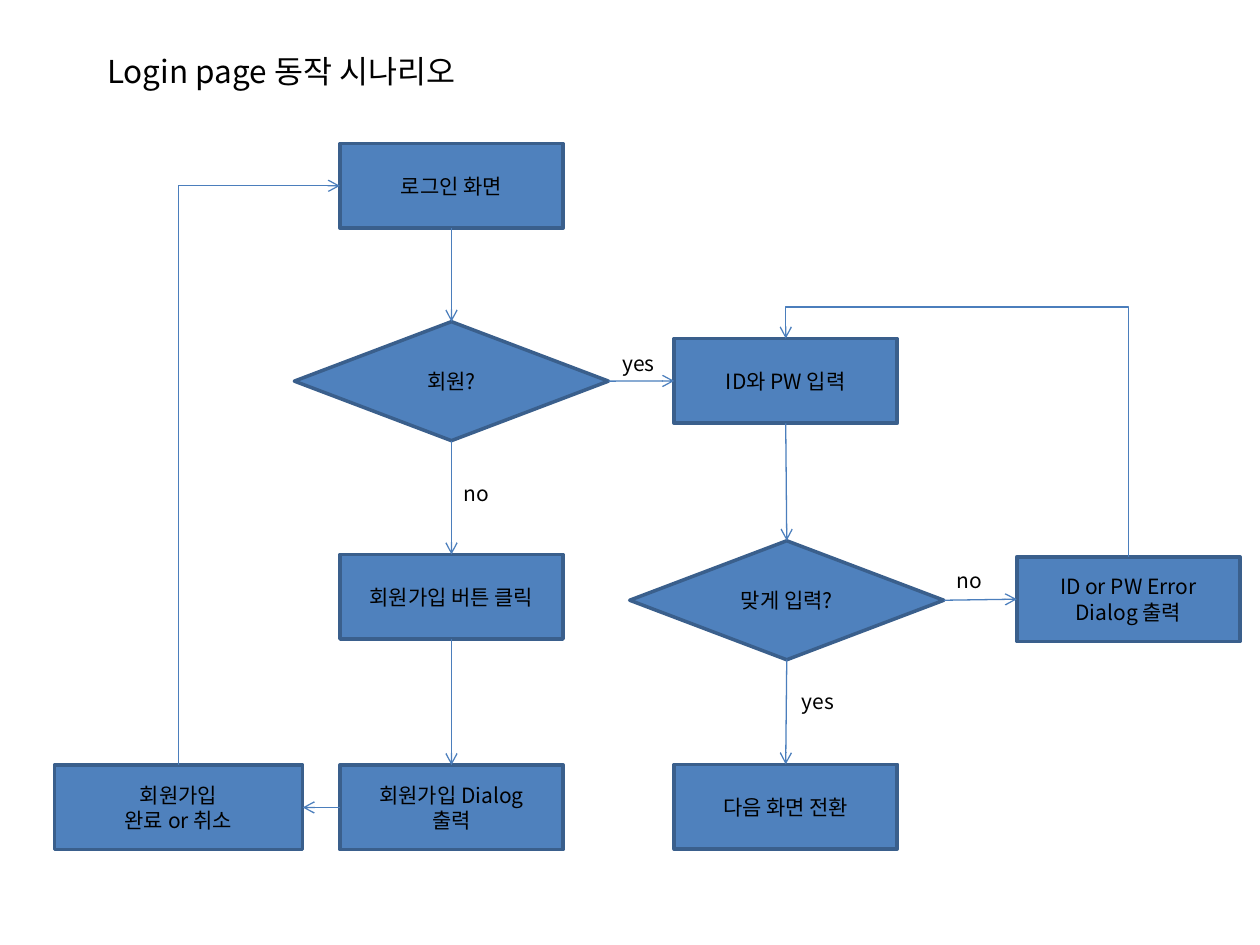
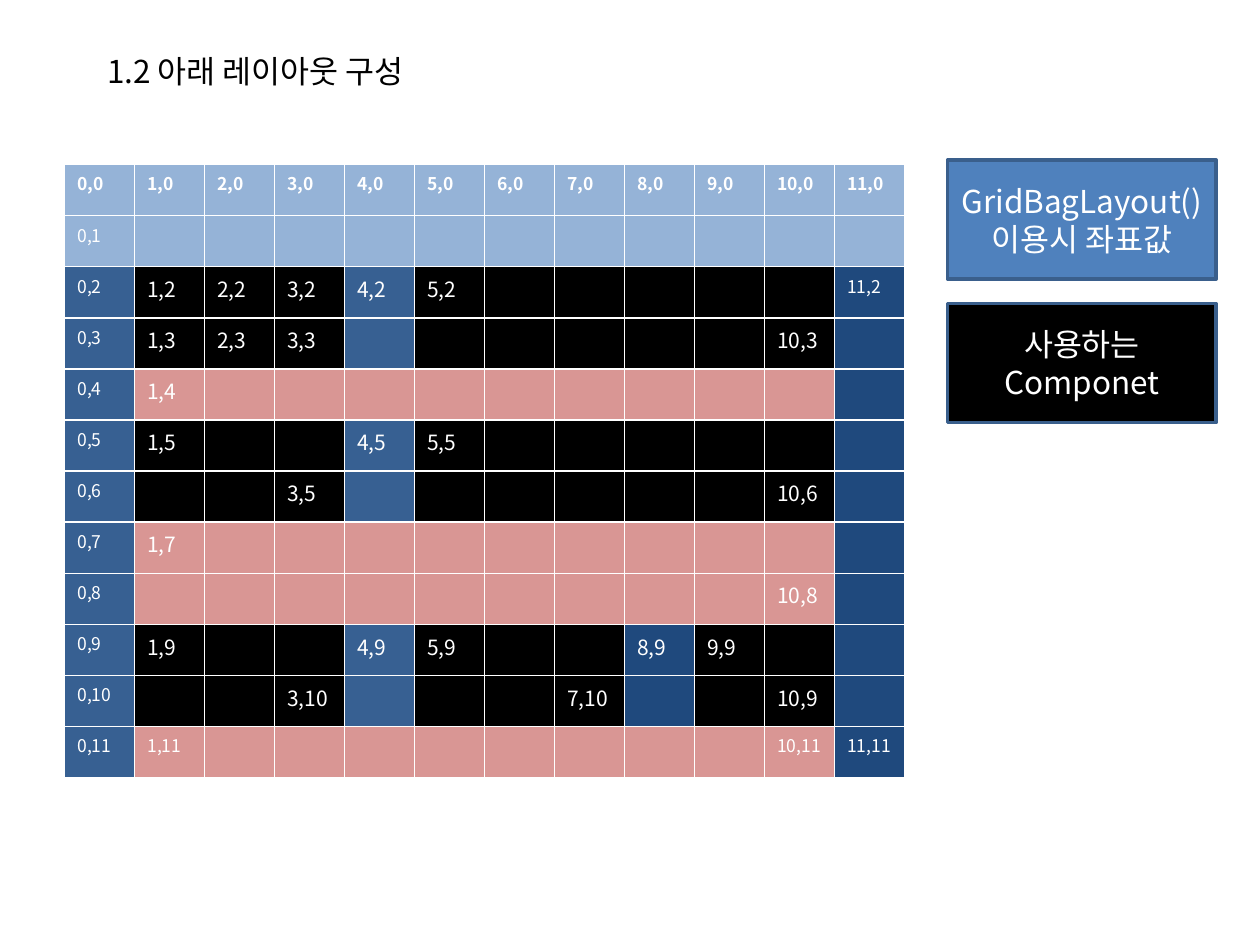
from dataclasses import dataclass

from lxml.etree import SubElement
from pptx import Presentation
from pptx.dml.color import RGBColor
from pptx.enum.shapes import MSO_CONNECTOR, MSO_SHAPE
from pptx.enum.text import MSO_ANCHOR, MSO_AUTO_SIZE, PP_ALIGN
from pptx.oxml.ns import qn
from pptx.util import Pt


@dataclass(frozen=True)
class Theme:
    font: str = "Noto Sans CJK KR"
    black: str = "000000"
    white: str = "FFFFFF"
    blue: str = "4F81BD"
    outline: str = "3A5F8C"
    arrow: str = "4B7EBC"
    light_blue: str = "95B3D7"
    mid_blue: str = "376092"
    dark_blue: str = "1F497D"
    pink: str = "D99694"
    title_size: int = 18
    text_size: int = 12
    small_size: int = 10


theme = Theme()


def write_text(text_frame, text, size, color, align=PP_ALIGN.LEFT):
    text_frame.text = text
    text_frame.word_wrap = True
    for paragraph in text_frame.paragraphs:
        paragraph.alignment = align
        paragraph.font.name = theme.font
        paragraph.font.size = Pt(size)
        paragraph.font.color.rgb = RGBColor.from_string(color)


def add_box(slide, preset, left, top, width, height, text, size, color, fill):
    shape = slide.shapes.add_shape(preset, Pt(left), Pt(top), Pt(width), Pt(height))
    shape.shadow.inherit = False
    shape.fill.solid()
    shape.fill.fore_color.rgb = RGBColor.from_string(fill)
    shape.line.color.rgb = RGBColor.from_string(theme.outline)
    shape.line.width = Pt(2)
    shape.text_frame.vertical_anchor = MSO_ANCHOR.MIDDLE
    write_text(shape.text_frame, text, size, color, PP_ALIGN.CENTER)
    return shape


presentation = Presentation()
presentation.slide_width, presentation.slide_height = Pt(720), Pt(540)

# Slides and their titles
slides = []
for heading in ("Login page 동작 시나리오", "1.2 아래 레이아웃 구성"):
    slide = presentation.slides.add_slide(presentation.slide_layouts[5])
    title = slide.shapes.title
    title.left, title.top, title.width, title.height = Pt(54), Pt(26), Pt(238), Pt(29)
    title.text_frame.auto_size = MSO_AUTO_SIZE.NONE
    title.text_frame.vertical_anchor = MSO_ANCHOR.TOP
    write_text(title.text_frame, heading, theme.title_size, theme.black)
    slides.append(slide)
login_slide, layout_slide = slides

# Flowchart steps: name, centre x, top, width, text
STEP_WIDTH, STEP_HEIGHT = 127.5, 48.4
DECISION_WIDTH, DECISION_HEIGHT = 179.5, 68
LEFT_COLUMN, RIGHT_COLUMN = 258, 449
steps = [
    ("login", LEFT_COLUMN, 82, STEP_WIDTH, "로그인 화면"),
    ("join", LEFT_COLUMN, 316.8, STEP_WIDTH, "회원가입 버튼 클릭"),
    ("join dialog", LEFT_COLUMN, 437.2, STEP_WIDTH, "회원가입 Dialog\n출력"),
    ("joined", 102, 437.2, 142, "회원가입\n완료 or 취소"),
    ("enter", RIGHT_COLUMN, 193.5, STEP_WIDTH, "ID와 PW 입력"),
    ("error", 644.8, 318.2, STEP_WIDTH, "ID or PW Error Dialog 출력"),
    ("next", RIGHT_COLUMN, 436.8, STEP_WIDTH, "다음 화면 전환"),
]
nodes = {}
for name, center, top, width, text in steps:
    nodes[name] = add_box(login_slide, MSO_SHAPE.RECTANGLE, center - width / 2, top, width,
                          STEP_HEIGHT, text, theme.text_size, theme.black, theme.blue)

# Decisions
decisions = [
    ("member", LEFT_COLUMN, 183.8, "회원?"),
    ("correct", RIGHT_COLUMN + 0.6, 309, "맞게 입력?"),
]
for name, center, top, text in decisions:
    nodes[name] = add_box(login_slide, MSO_SHAPE.FLOWCHART_DECISION, center - DECISION_WIDTH / 2,
                          top, DECISION_WIDTH, DECISION_HEIGHT, text, theme.text_size,
                          theme.black, theme.blue)

# Arrows: start, side, end, side, kind
TOP, LEFT, BOTTOM, RIGHT = range(4)
STRAIGHT, ELBOW = MSO_CONNECTOR.STRAIGHT, MSO_CONNECTOR.ELBOW
links = [
    ("login", BOTTOM, "member", TOP, STRAIGHT),
    ("member", BOTTOM, "join", TOP, STRAIGHT),
    ("member", RIGHT, "enter", LEFT, STRAIGHT),
    ("join", BOTTOM, "join dialog", TOP, STRAIGHT),
    ("join dialog", LEFT, "joined", RIGHT, STRAIGHT),
    ("joined", TOP, "login", LEFT, ELBOW),
    ("enter", BOTTOM, "correct", TOP, STRAIGHT),
    ("correct", RIGHT, "error", LEFT, STRAIGHT),
    ("error", TOP, "enter", TOP, ELBOW),
    ("correct", BOTTOM, "next", TOP, STRAIGHT),
]
arrows = {}
for start, start_side, end, end_side, kind in links:
    arrow = login_slide.shapes.add_connector(kind, 0, 0, 0, 0)
    arrow.begin_connect(nodes[start], start_side)
    arrow.end_connect(nodes[end], end_side)
    arrow.line.color.rgb = RGBColor.from_string(theme.arrow)
    arrow.line.width = Pt(0.75)
    properties = arrow.element.spPr
    SubElement(properties.find(qn("a:ln")), qn("a:tailEnd"), type="arrow")
    SubElement(properties, qn("a:effectLst"))
    arrows[start, end] = arrow

# Elbow arrows leave upwards, so their frames are turned on their side
turns = [
    (arrows["joined", "login"], "bentConnector2", 90, ("flipH", "flipV"), None),
    (arrows["error", "enter"], "bentConnector3", 270, ("flipV",), 114500),
]
for arrow, preset, degrees, flips, bend in turns:
    middle_x = (arrow.begin_x + arrow.end_x) // 2
    middle_y = (arrow.begin_y + arrow.end_y) // 2
    arrow.width, arrow.height = arrow.height, arrow.width
    arrow.left, arrow.top = middle_x - arrow.width // 2, middle_y - arrow.height // 2
    frame = arrow.element.spPr.find(qn("a:xfrm"))
    frame.set("rot", str(degrees * 60000))
    for flip in ("flipH", "flipV"):
        frame.set(flip, "1" if flip in flips else "0")
    geometry = arrow.element.spPr.find(qn("a:prstGeom"))
    geometry.set("prst", preset)
    if bend:
        SubElement(geometry.find(qn("a:avLst")), qn("a:gd"), name="adj1", fmla=f"val {bend}")

# Answers beside the arrows
for text, left, top in (("yes", 348.5, 196.5), ("no", 258, 271), ("yes", 451, 390), ("no", 539.5, 321)):
    answer = login_slide.shapes.add_textbox(Pt(left), Pt(top), Pt(36), Pt(21.8))
    write_text(answer.text_frame, text, theme.text_size, theme.black)

# Layout grid: one letter per cell fill, then the columns that show a coordinate
COLUMN_WIDTH, ROW_HEIGHT = 40, 29.2
fills = {"L": theme.light_blue, "M": theme.mid_blue, "D": theme.dark_blue,
         "K": theme.black, "P": theme.pink}
HEADER, GAP = "L" * 12, "M" + "P" * 10 + "D"
FIELDS, BUTTONS = "MKKKMKKKKKKD", "MKKKMKKKDKKD"
grid_rows = [
    (HEADER, range(12)),
    (HEADER, [0]),
    (FIELDS, [0, 1, 2, 3, 4, 5, 11]),
    (FIELDS, [0, 1, 2, 3, 10]),
    (GAP, [0, 1]),
    (FIELDS, [0, 1, 4, 5]),
    (FIELDS, [0, 3, 10]),
    (GAP, [0, 1]),
    (GAP, [0, 10]),
    (BUTTONS, [0, 1, 4, 5, 8, 9]),
    (BUTTONS, [0, 3, 7, 10]),
    (GAP, [0, 1, 10, 11]),
]
special_labels = {(3, 6): "3,5", (10, 10): "10,9"}
grid = layout_slide.shapes.add_table(12, 12, Pt(37), Pt(94), Pt(12 * COLUMN_WIDTH),
                                     Pt(12 * ROW_HEIGHT)).table
grid.horz_banding = False
for column in grid.columns:
    column.width = Pt(COLUMN_WIDTH)
for row_index, (pattern, labelled) in enumerate(grid_rows):
    grid.rows[row_index].height = Pt(ROW_HEIGHT)
    for column_index, letter in enumerate(pattern):
        cell = grid.cell(row_index, column_index)
        cell.fill.solid()
        cell.fill.fore_color.rgb = RGBColor.from_string(fills[letter])
        label = ""
        if column_index in labelled:
            label = special_labels.get((column_index, row_index), f"{column_index},{row_index}")
        on_edge = row_index in (0, 1, 11) or column_index in (0, 11)
        size = theme.small_size if on_edge else theme.text_size
        write_text(cell.text_frame, label, size, theme.white)
        cell.text_frame.paragraphs[0].font.bold = row_index == 0

# Empty cells keep a small line height
for paragraph in layout_slide.element.iter(qn("a:p")):
    if paragraph.find(qn("a:r")) is None:
        SubElement(paragraph, qn("a:endParaRPr"), sz=str(theme.small_size * 100))

# Legend
legend = [
    ("GridBagLayout()\n이용시 좌표값", theme.blue),
    ("사용하는 Componet", theme.black),
]
for index, (text, fill) in enumerate(legend):
    add_box(layout_slide, MSO_SHAPE.RECTANGLE, 541.5, 91.5 + index * 82, 153.5, 68,
            text, theme.title_size, theme.white, fill)

# Korean text takes the same font as Latin text
for slide in slides:
    for latin in list(slide.element.iter(qn("a:latin"))):
        SubElement(latin.getparent(), qn("a:ea"), typeface=theme.font)

presentation.save("out.pptx")
